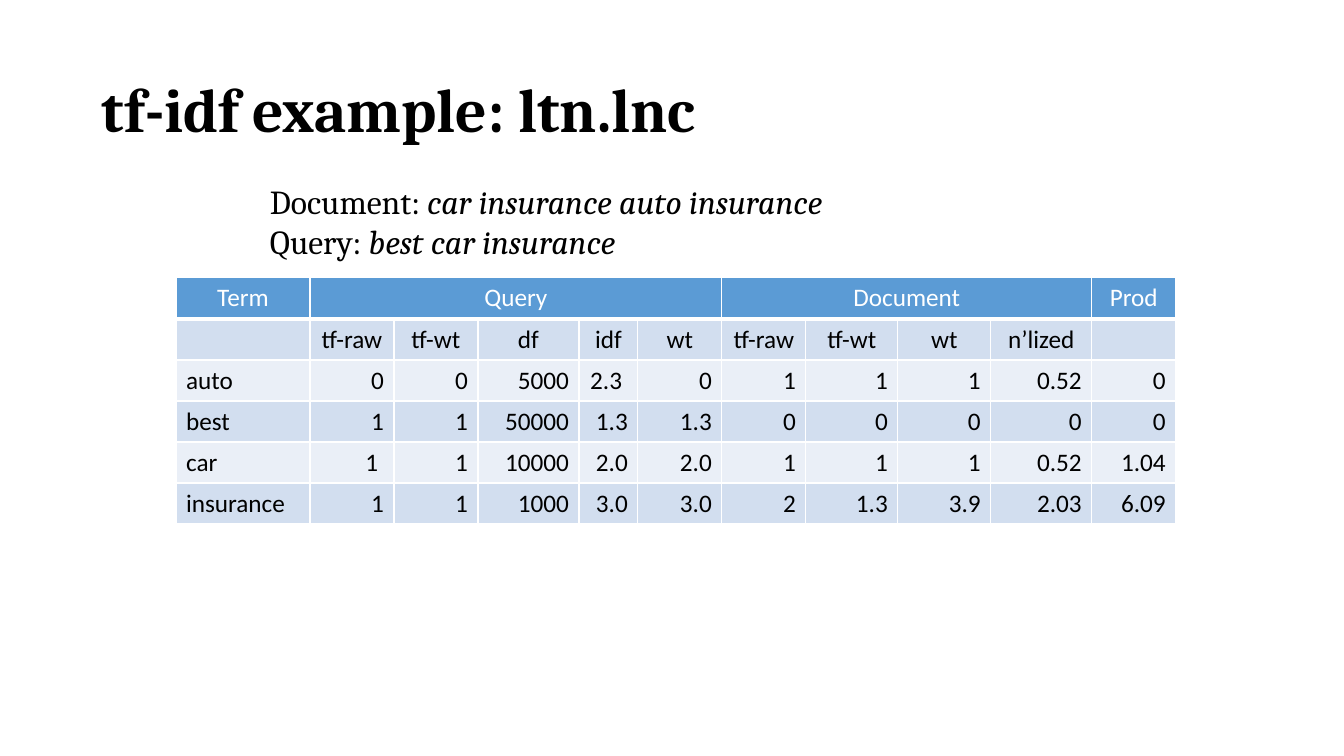
from dataclasses import dataclass

from lxml import etree
from pptx import Presentation
from pptx.dml.color import RGBColor
from pptx.enum.text import MSO_ANCHOR, MSO_AUTO_SIZE, PP_ALIGN
from pptx.oxml.ns import qn
from pptx.util import Emu, Pt

LEFT, CENTER, RIGHT = PP_ALIGN.LEFT, PP_ALIGN.CENTER, PP_ALIGN.RIGHT
MIDDLE, TOP = MSO_ANCHOR.MIDDLE, MSO_ANCHOR.TOP
GROW, FIXED = MSO_AUTO_SIZE.SHAPE_TO_FIT_TEXT, MSO_AUTO_SIZE.NONE
PX_PER_INCH = 100.8
SLIDE_SIZE = 1344, 756


@dataclass(frozen=True)
class Theme:
    serif: str = "Cambria"
    sans: str = "Calibri"
    ink: str = "000000"
    white: str = "FFFFFF"
    header: str = "5B9BD5"
    bands: tuple = ("D2DEEF", "EAEFF7")
    title_size: int = 44
    body_size: int = 24
    table_size: int = 18


COLUMN_WIDTHS = [134, 84, 84, 101, 59, 84, 84, 92, 93, 101, 84]
ROW_HEIGHTS = [42] + [41] * 5
HEADINGS = [("Term", 1), ("Query", 5), ("Document", 4), ("Prod", 1)]
SUBHEADINGS = ["", "tf-raw", "tf-wt", "df", "idf", "wt",
               "tf-raw", "tf-wt", "wt", "n’lized", ""]
TERMS = [
    ["auto", "0", "0", "5000", "2.3 ", "0", "1", "1", "1", "0.52", "0"],
    ["best", "1", "1", "50000", "1.3", "1.3", "0", "0", "0", "0", "0"],
    ["car", "1 ", "1", "10000", "2.0", "2.0", "1", "1", "1", "0.52", "1.04"],
    ["insurance", "1", "1", "1000", "3.0", "3.0", "2", "1.3", "3.9", "2.03", "6.09"],
]


def px(length):
    return Emu(round(length * 914400 / PX_PER_INCH))


class SlideBuilder:
    def __init__(self, slide, theme):
        self.slide = slide
        self.theme = theme

    def style(self, run, font, size, color, bold=False, italic=False):
        run.font.name = font
        run.font.size = Pt(size)
        run.font.color.rgb = RGBColor.from_string(color)
        run.font.bold = bold
        run.font.italic = italic

    def text(self, box, lines, size, bold=False, wrap=True, anchor=TOP,
             fit=FIXED, spacing=1.0):
        """Add a text box; each line is a list of (wording, italic) pairs."""
        frame = self.slide.shapes.add_textbox(*map(px, box)).text_frame
        frame.word_wrap = wrap
        frame.auto_size = fit
        frame.vertical_anchor = anchor
        for index, line in enumerate(lines):
            paragraph = frame.add_paragraph() if index else frame.paragraphs[0]
            paragraph.line_spacing = spacing
            for wording, italic in line:
                run = paragraph.add_run()
                run.text = wording
                self.style(run, self.theme.serif, size, self.theme.ink, bold, italic)

    def borders(self, cell, bottom):
        """Draw 1 pt edges, with the bottom edge at its own width."""
        properties = cell._tc.get_or_add_tcPr()
        edges = [("lnL", 1), ("lnR", 1), ("lnT", 1), ("lnB", bottom)]
        for position, (edge, width) in enumerate(edges):
            line = etree.Element(qn(f"a:{edge}"), w=str(Pt(width)))
            fill = etree.SubElement(line, qn("a:solidFill"))
            etree.SubElement(fill, qn("a:srgbClr"), val=self.theme.white)
            properties.insert(position, line)

    def cell(self, cell, wording, fill, color, align, bottom=1):
        cell.fill.solid()
        cell.fill.fore_color.rgb = RGBColor.from_string(fill)
        self.borders(cell, bottom)
        cell.text_frame.text = wording
        paragraph = cell.text_frame.paragraphs[0]
        paragraph.alignment = align
        for run in paragraph.runs:
            self.style(run, self.theme.sans, self.theme.table_size, color)

    def table(self, left, top, widths, heights, headings, body):
        """Add a table whose headings are (wording, column span) pairs."""
        theme = self.theme
        table = self.slide.shapes.add_table(
            len(heights), len(widths), px(left), px(top),
            px(sum(widths)), px(sum(heights))).table
        for column, width in zip(table.columns, widths):
            column.width = px(width)
        for row, height in zip(table.rows, heights):
            row.height = px(height)

        start = 0
        for wording, span in headings:
            for column in range(start, start + span):
                self.cell(table.cell(0, column), wording if column == start else "",
                          theme.header, theme.white, CENTER, bottom=3)
            if span > 1:
                table.cell(0, start).merge(table.cell(0, start + span - 1))
            start += span

        for row, values in enumerate(body):
            for column, value in enumerate(values):
                align = CENTER if row == 0 else RIGHT if column else LEFT
                self.cell(table.cell(row + 1, column), value,
                          theme.bands[row % 2], theme.ink, align)


def main():
    presentation = Presentation()
    presentation.slide_width, presentation.slide_height = map(px, SLIDE_SIZE)
    theme = Theme()
    builder = SlideBuilder(
        presentation.slides.add_slide(presentation.slide_layouts[6]), theme)

    builder.text((92, 40, 1159, 146), [[("tf-idf example: ltn.lnc", False)]],
                 theme.title_size, bold=True, anchor=MIDDLE, spacing=0.9)
    builder.table(176, 277, COLUMN_WIDTHS, ROW_HEIGHTS, HEADINGS,
                  [SUBHEADINGS] + TERMS)
    builder.text((260, 176, 641, 92),
                 [[("Document: ", False), ("car insurance auto insurance", True)],
                  [("Query: ", False), ("best car insurance", True)]],
                 theme.body_size, wrap=False, fit=GROW)

    presentation.save("out.pptx")


if __name__ == "__main__":
    main()
